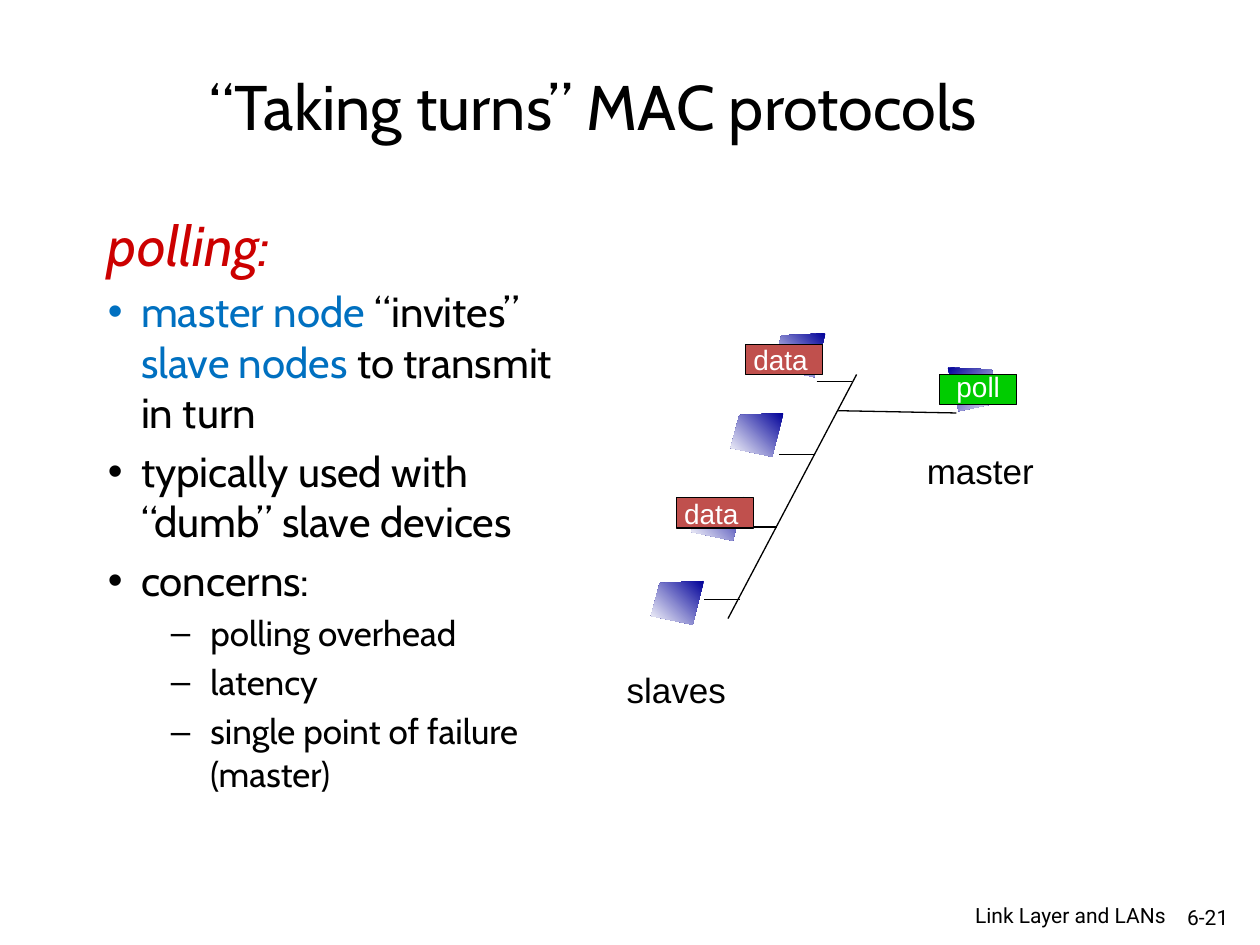
"""Build a slide on polling, a "taking turns" MAC protocol."""
import dataclasses
import typing

import pptx
import pptx.dml.color
import pptx.enum.shapes
import pptx.enum.text
import pptx.oxml
import pptx.util

Pt = pptx.util.Pt
Align = pptx.enum.text.PP_ALIGN
Fit = pptx.enum.text.MSO_AUTO_SIZE
Middle = pptx.enum.text.MSO_ANCHOR.MIDDLE

HUES = {"black": "000000", "white": "FFFFFF", "red": "CC0000", "blue": "0070C0",
        "navy": "000099", "green": "00CC00", "brick": "C0504D"}
NODE = ((30.2, 0), (5, 1.2), (0, 20), (23.8, 25))
WIDTH = 30.2


@dataclasses.dataclass
class Host:
    left: float
    top: float
    flipped: bool = False


@dataclasses.dataclass
class Packet:
    text: str
    left: float
    top: float
    fill: str
    inset: float = 0
    lift: float = 0


@dataclasses.dataclass
class Label:
    text: str
    left: float
    top: float
    width: float
    height: float
    size: float
    font: str
    align: typing.Any = Align.LEFT
    anchor: typing.Any = pptx.enum.text.MSO_ANCHOR.TOP
    wrap: bool = False


@dataclasses.dataclass
class Wire:
    start: tuple[float, float]
    end: tuple[float, float]


@dataclasses.dataclass
class Item:
    pieces: list[tuple[str, str]]
    size: float
    level: int = 0
    margin: float = 18.9
    indent: float = -18.9


def hue(name: str) -> pptx.dml.color.RGBColor:
    return pptx.dml.color.RGBColor.from_string(HUES[name])


def style(run, size: float, font: str, color: str) -> None:
    run.font.size = Pt(size)
    run.font.name = font
    run.font.color.rgb = hue(color)


def place(shape, left: float, top: float, width: float, height: float) -> None:
    shape.left, shape.top = Pt(left), Pt(top)
    shape.width, shape.height = Pt(width), Pt(height)
    shape.text_frame.auto_size = Fit.NONE


def draw_host(shapes, host: Host) -> None:
    points = [(Pt(host.left + (WIDTH - x if host.flipped else x)), Pt(host.top + y))
              for x, y in NODE]
    pen = shapes.build_freeform(*points[0])
    pen.add_line_segments(points[1:], close=True)
    shape = pen.convert_to_shape()
    shape.shadow.inherit = False
    shape.line.fill.background()
    shape.fill.gradient()
    shape.fill.gradient_angle = 315 if host.flipped else 225
    for stop, name in zip(shape.fill.gradient_stops, ("navy", "white")):
        stop.color.rgb = hue(name)


def draw_wire(shapes, wire: Wire) -> None:
    ends = [Pt(value) for value in wire.start + wire.end]
    line = shapes.add_connector(pptx.enum.shapes.MSO_CONNECTOR.STRAIGHT, *ends)
    line.line.width = Pt(0.75)
    line.line.color.rgb = hue("black")
    line._element.spPr.append(pptx.oxml.parse_xml(
        '<a:effectLst xmlns:a="http://schemas.openxmlformats.org/drawingml/2006/main"/>'))


def draw_packet(shapes, packet: Packet) -> None:
    shape = shapes.add_shape(pptx.enum.shapes.MSO_SHAPE.RECTANGLE,
                             Pt(packet.left), Pt(packet.top), Pt(44), Pt(17.3))
    shape.shadow.inherit = False
    shape.fill.solid()
    shape.fill.fore_color.rgb = hue(packet.fill)
    shape.line.color.rgb = hue("black")
    shape.line.width = Pt(0.75)
    frame = shape.text_frame
    frame.margin_left = frame.margin_top = 0
    frame.margin_right, frame.margin_bottom = Pt(packet.inset), Pt(packet.lift)
    frame.vertical_anchor = Middle
    frame.word_wrap = False
    frame.text = packet.text
    frame.paragraphs[0].alignment = Align.CENTER
    style(frame.paragraphs[0].runs[0], 16, "Arial", "white")


def draw_label(shapes, label: Label) -> None:
    box = shapes.add_textbox(Pt(label.left), Pt(label.top), Pt(label.width), Pt(label.height))
    frame = box.text_frame
    frame.word_wrap = label.wrap
    frame.vertical_anchor = label.anchor
    frame.text = label.text
    frame.paragraphs[0].alignment = label.align
    style(frame.paragraphs[0].runs[0], label.size, label.font, "black")


def fill_title(title) -> None:
    place(title, 33, 15, 612, 90)
    frame = title.text_frame
    frame.text = "“Taking turns” MAC protocols"
    frame.vertical_anchor = Middle
    frame.paragraphs[0].alignment = Align.CENTER
    style(frame.paragraphs[0].runs[0], 36, "Cabin", "black")


def indent(para, margin: float, first: float):
    props = para._p.get_or_add_pPr()
    props.set("marL", str(Pt(margin)))
    props.set("indent", str(Pt(first)))
    return props


def fill_body(body, items: list[Item]) -> None:
    place(body, 54.5, 116.5, 272, 399)
    frame = body.text_frame
    frame.text = "polling:"
    head = frame.paragraphs[0]
    head.space_before = Pt(0)
    indent(head, 27, -27).append(pptx.oxml.parse_xml(
        '<a:buNone xmlns:a="http://schemas.openxmlformats.org/drawingml/2006/main"/>'))
    style(head.runs[0], 32, "Cabin", "red")
    head.runs[0].font.italic = True
    for item in items:
        para = frame.add_paragraph()
        para.level = item.level
        indent(para, item.margin, item.indent)
        for text, color in item.pieces:
            run = para.add_run()
            run.text = text
            style(run, item.size, "Cabin", color)


ITEMS = [
    Item([("master node ", "blue"), ("“invites” ", "black"),
          ("slave nodes ", "blue"), ("to transmit in turn", "black")], 24),
    Item([("typically used with “dumb” slave devices", "black")], 24),
    Item([("concerns:", "black")], 24),
] + [Item([(text, "black")], 20, 1, 58.5, -22.5)
     for text in ("polling overhead", "latency", "single point of failure (master)")]
HOSTS = [Host(372, 332), Host(395, 284), Host(417.5, 236), Host(441.5, 190.5),
         Host(541.5, 210, True)]
WIRES = [Wire((489.5, 214), (416, 353.5)), Wire((479, 234.7), (546.5, 236))] + [
    Wire((402.5 + 21.4 * row, 342.7 - 41.5 * row), (422.6 + 21.4 * row, 342.7 - 41.5 * row))
    for row in range(4)]
PACKETS = [Packet("poll", 537, 214, "green", lift=3.5),
           Packet("data", 386.5, 284.5, "brick", inset=4),
           Packet("data", 426, 196.7, "brick", inset=4)]
LABELS = [
    Label("master", 522.5, 253.5, 75.5, 31, 20, "Arial"),
    Label("slaves", 351, 378.5, 71.5, 31, 20, "Arial"),
    Label("6-21", 666, 513.5, 43, 21.5, 12, "Roboto", Align.RIGHT, Middle, True),
    Label("Link Layer and LANs", 502, 513.5, 171.3, 19, 12, "Roboto", Align.RIGHT, Middle, True),
]


def main() -> None:
    deck = pptx.Presentation()
    deck.slide_width, deck.slide_height = Pt(720), Pt(540)
    slide = deck.slides.add_slide(deck.slide_layouts[1])
    fill_title(slide.shapes.title)
    fill_body(slide.placeholders[1], ITEMS)
    for draw, things in ((draw_host, HOSTS), (draw_wire, WIRES),
                         (draw_packet, PACKETS), (draw_label, LABELS)):
        for thing in things:
            draw(slide.shapes, thing)
    deck.save("out.pptx")


if __name__ == "__main__":
    main()
